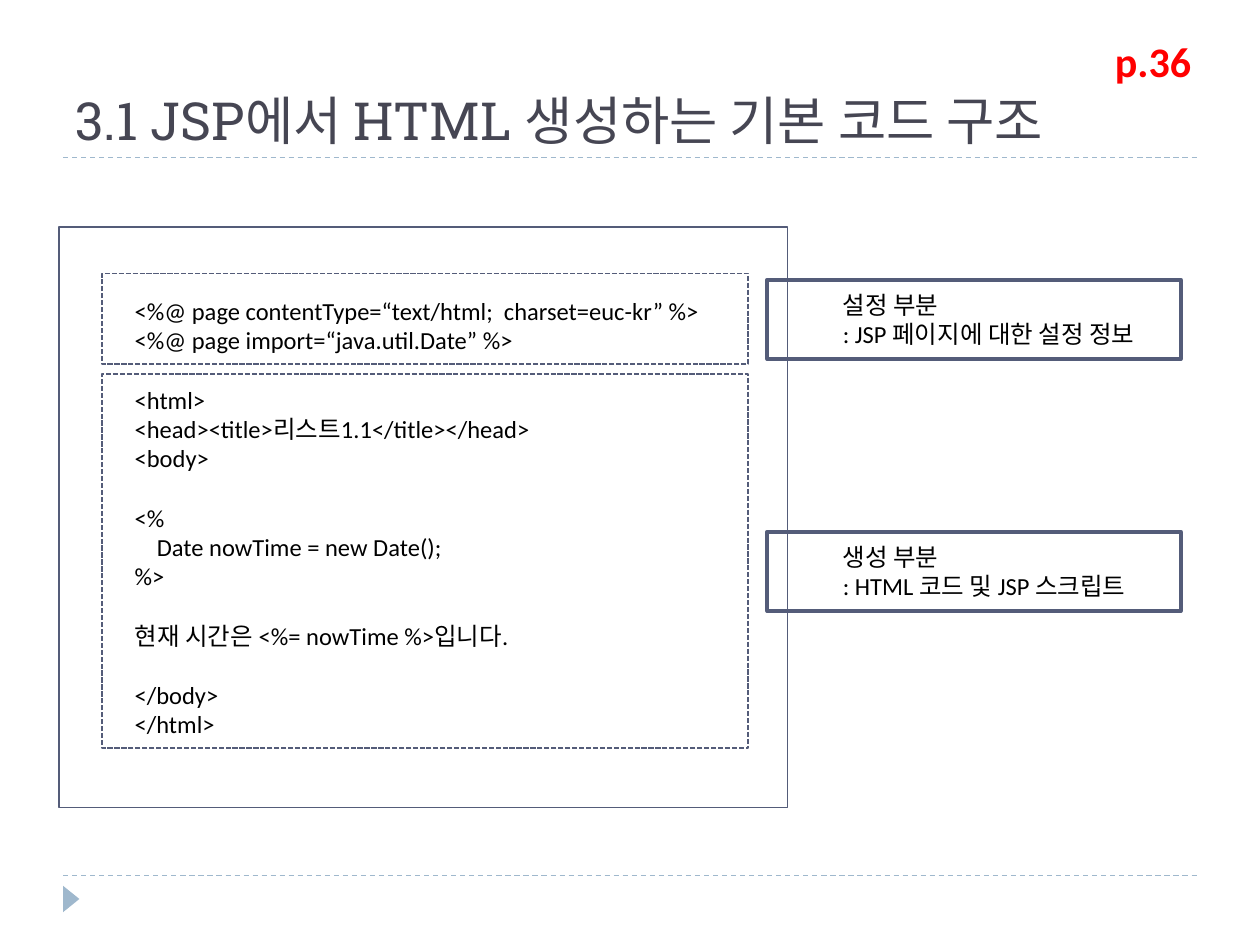
from pptx import Presentation
from pptx.dml.color import RGBColor
from pptx.enum import dml, shapes, text
from pptx.oxml.ns import qn
from pptx.util import Inches, Pt

INK = RGBColor(0x00, 0x00, 0x00)
SLATE = RGBColor(0x46, 0x46, 0x53)
NAVY = RGBColor(0x54, 0x5C, 0x79)
SKY = RGBColor(0x9F, 0xB8, 0xCD)
RED = RGBColor(0xFF, 0x00, 0x00)

TITLE = "3.1 JSP에서 HTML 생성하는 기본 코드 구조"
PAGE = "p.36"
# Blocks of code, set apart by one line
CODE = [
    ["<%@ page contentType=“text/html;  charset=euc-kr” %>",
     "<%@ page import=“java.util.Date” %>"],
    ["<html>", "<head><title>리스트1.1</title></head>", "<body>"],
    ["<%", "    Date nowTime = new Date();", "%>"],
    ["현재 시간은 <%= nowTime %>입니다."],
    ["</body>", "</html>"],
]
# Top of each note and its lines
NOTES = [
    (2.22, ["설정 부분", ": JSP 페이지에 대한 설정 정보"]),
    (4.22, ["생성 부분", ": HTML 코드 및 JSP 스크립트"]),
]
# Top and height of each dashed frame
PARTS = [(2.17, 0.72), (2.97, 2.97)]
RULES = [1.25, 6.95]
LINE = Pt(17)

deck = Presentation()
deck.slide_width, deck.slide_height = Inches(10), Inches(7.5)
slide = deck.slides.add_slide(deck.slide_layouts[6])


def style(para, font, size, color, bold=False):
    for run in para.runs:
        run.font.name, run.font.size = font, Pt(size)
        run.font.color.rgb, run.font.bold = color, bold


def add_box(left, top, width, height, weight, blocks=(), dash=None):
    box = slide.shapes.add_shape(shapes.MSO_SHAPE.RECTANGLE, Inches(left),
                                 Inches(top), Inches(width), Inches(height))
    box.shadow.inherit = False
    box.fill.background()
    box.line.color.rgb, box.line.width = NAVY, Pt(weight)
    if dash:
        box.line.dash_style = dash
    frame = box.text_frame
    frame.vertical_anchor = text.MSO_ANCHOR.MIDDLE
    frame.text = "\n".join(row for block in blocks for row in block)
    paras = iter(frame.paragraphs)
    for num, block in enumerate(blocks):
        for row in range(len(block)):
            para = next(paras)
            para.alignment = text.PP_ALIGN.LEFT
            para._p.get_or_add_pPr().set("marL", str(Inches(0.5)))
            if num and row == 0:
                para.space_before = LINE
            style(para, "Calibri", 14, INK)


def add_label(words, left, top, width, height, anchor, *look):
    label = slide.shapes.add_textbox(Inches(left), Inches(top),
                                     Inches(width), Inches(height))
    frame = label.text_frame
    frame.word_wrap, frame.vertical_anchor = True, anchor
    frame.text = words
    style(frame.paragraphs[0], *look)


# Dashed rules and corner mark
for y in RULES:
    rule = slide.shapes.add_connector(shapes.MSO_CONNECTOR.STRAIGHT, Inches(0.5),
                                      Inches(y), Inches(9.5), Inches(y))
    rule.line.color.rgb, rule.line.width = SKY, Pt(0.75)
    rule.line.dash_style = dml.MSO_LINE.DASH
    props = rule._element.spPr
    props.append(props.makeelement(qn("a:effectLst"), {}))

mark = slide.shapes.add_shape(shapes.MSO_SHAPE.ISOSCELES_TRIANGLE, Inches(0.46),
                              Inches(7.07), Inches(0.21), Inches(0.13))
mark.rotation = 90
mark.shadow.inherit = False
mark.fill.solid()
mark.fill.fore_color.rgb = SKY
mark.line.fill.background()

# Code listing, title, frames and notes
add_box(0.47, 1.8, 5.78, 4.61, 1, CODE)
add_label(TITLE, 0.5, 0.17, 9, 1.08, text.MSO_ANCHOR.BOTTOM,
          "Roboto Slab", 30, SLATE)
for top, height in PARTS:
    add_box(0.81, top, 5.13, height, 1, dash=dml.MSO_LINE.SQUARE_DOT)
for top, rows in NOTES:
    add_box(6.09, top, 3.28, 0.63, 2.25, [rows])

# Page label
add_label(PAGE, 8.75, 0.23, 1.02, 0.5, text.MSO_ANCHOR.TOP,
          "Calibri", 24, RED, True)

deck.save("out.pptx")
